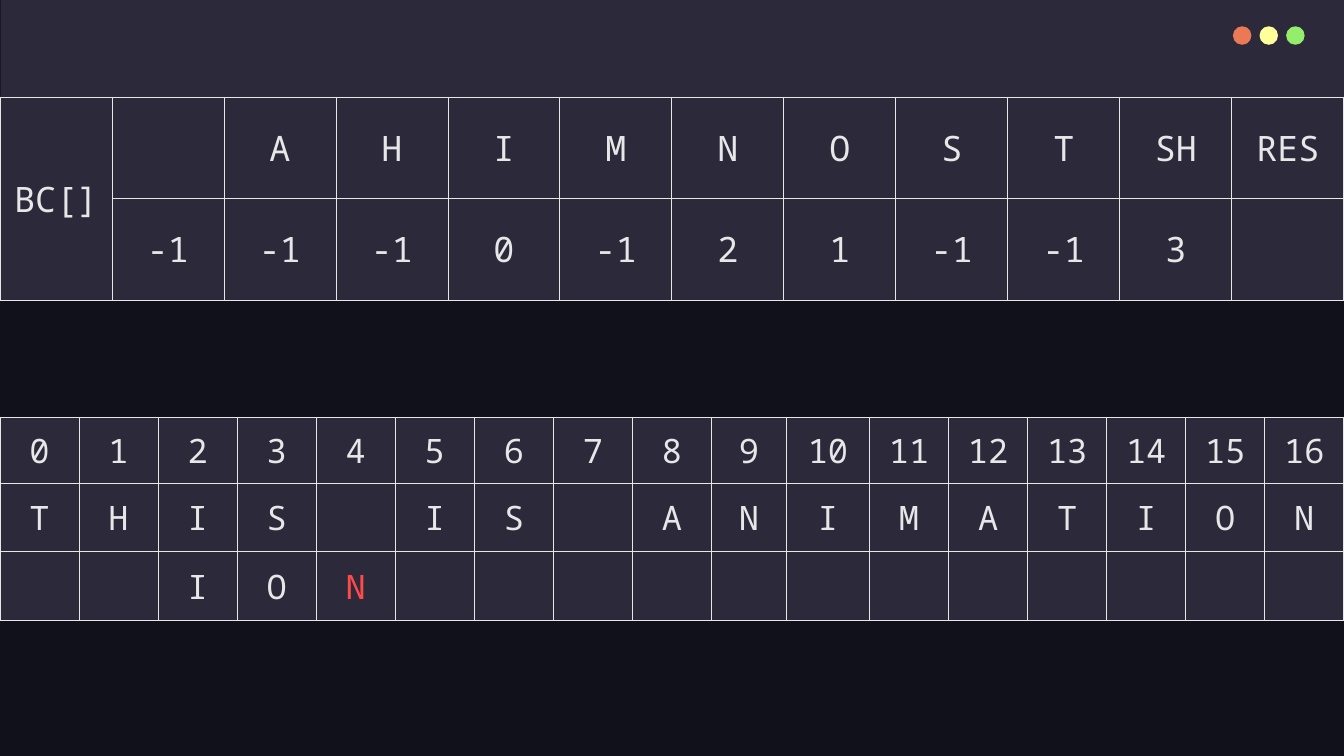
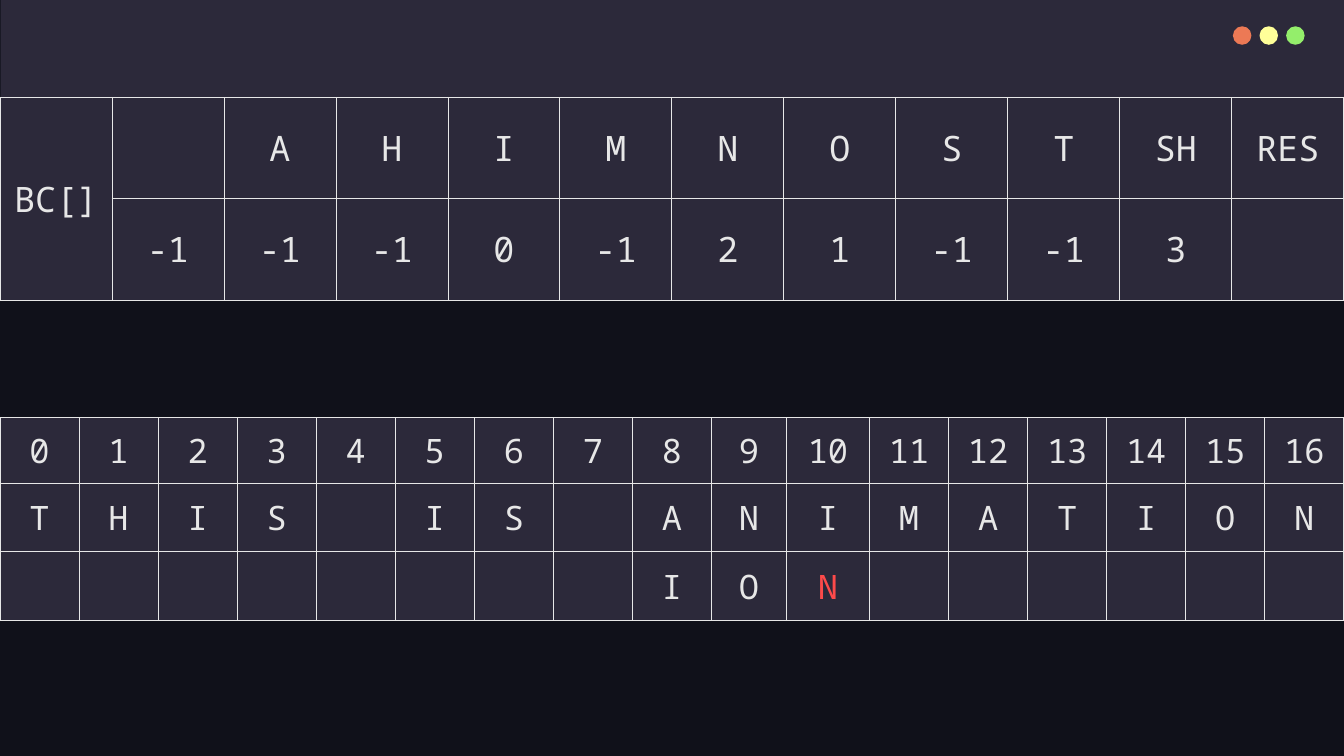
from lxml import etree
from pptx import Presentation
from pptx.dml.color import RGBColor
from pptx.enum.shapes import MSO_SHAPE
from pptx.enum.text import MSO_ANCHOR, PP_ALIGN
from pptx.oxml.ns import qn
from pptx.util import Pt

RECTANGLE = MSO_SHAPE.RECTANGLE
OVAL = MSO_SHAPE.OVAL
CENTER = PP_ALIGN.CENTER
MIDDLE = MSO_ANCHOR.MIDDLE

BACKGROUND = RGBColor(0x10, 0x11, 0x1A)
PANEL = RGBColor(0x2C, 0x29, 0x3A)
LIGHT = RGBColor(0xE7, 0xE7, 0xE7)
MISMATCH = RGBColor(0xFD, 0x4A, 0x4A)
DOT_COLORS = [
    RGBColor(0xEC, 0x79, 0x55),
    RGBColor(0xFF, 0xFF, 0x99),
    RGBColor(0x94, 0xEE, 0x6B),
]
FONT = "Noto Sans Mono"

TEXT = "THIS IS ANIMATION"
PATTERN = "ION"
BAD_CHARACTER_ROWS = [
    ["BC[]", "", "A", "H", "I", "M", "N", "O", "S", "T", "SH", "RES"],
    ["", "-1", "-1", "-1", "0", "-1", "2", "1", "-1", "-1", "3", ""],
]
PATTERN_SHIFTS = [2, 8]

SLIDE_WIDTH, SLIDE_HEIGHT = 960, 540
BAND_LEFT, BAND_HEIGHT = 0.5, 121.5
DOT_LEFT, DOT_TOP, DOT_SIZE, DOT_STEP = 880.7, 18.8, 13.2, 19
BAD_CHARACTER_TOP, BAD_CHARACTER_HEIGHTS = 69.6, [72.4, 72.4]
SEARCH_TOP, SEARCH_HEIGHTS = 298.2, [47, 49, 49]
SEARCH_WIDTH_CHANGES = {9: -3, 10: 3}
BORDER_WIDTH = 0.75
MARGIN_X, MARGIN_Y = 9.4, 7


def add_filled_shape(shapes, kind, left, top, width, height, color):
    shape = shapes.add_shape(kind, Pt(left), Pt(top), Pt(width), Pt(height))
    shape.shadow.inherit = False
    shape.fill.solid()
    shape.fill.fore_color.rgb = color
    shape.line.fill.background()


def add_window_bar(slide):
    add_filled_shape(slide.shapes, RECTANGLE, BAND_LEFT, 0,
                     SLIDE_WIDTH - BAND_LEFT, BAND_HEIGHT, PANEL)
    dots = slide.shapes.add_group_shape()
    for index, color in enumerate(DOT_COLORS):
        add_filled_shape(dots.shapes, OVAL, DOT_LEFT + index * DOT_STEP,
                         DOT_TOP, DOT_SIZE, DOT_SIZE, color)


def set_borders(cell):
    properties = cell._tc.get_or_add_tcPr()
    for side in ("a:lnL", "a:lnR", "a:lnT", "a:lnB"):
        line = etree.SubElement(properties, qn(side), w=str(Pt(BORDER_WIDTH)))
        fill = etree.SubElement(line, qn("a:solidFill"))
        etree.SubElement(fill, qn("a:srgbClr"), val=str(LIGHT))


def format_cell(cell, text, size, color):
    set_borders(cell)
    cell.fill.solid()
    cell.fill.fore_color.rgb = PANEL
    cell.vertical_anchor = MIDDLE
    cell.margin_left = cell.margin_right = Pt(MARGIN_X)
    cell.margin_top = cell.margin_bottom = Pt(MARGIN_Y)
    cell.text = text
    paragraph = cell.text_frame.paragraphs[0]
    paragraph.alignment = CENTER
    font = paragraph.font
    font.name = FONT
    font.size = Pt(size)
    font.color.rgb = color


def add_grid(slide, rows, top, heights, size, width_changes={}, highlight=None):
    column_count = len(rows[0])
    table = slide.shapes.add_table(
        len(rows), column_count, Pt(0), Pt(top), Pt(SLIDE_WIDTH), Pt(sum(heights))
    ).table
    table.first_row = False
    table.horz_banding = False
    for index, column in enumerate(table.columns):
        column.width = Pt(SLIDE_WIDTH / column_count + width_changes.get(index, 0))
    for row, height in zip(table.rows, heights):
        row.height = Pt(height)
    for row_index, row in enumerate(rows):
        for column_index, text in enumerate(row):
            color = MISMATCH if (row_index, column_index) == highlight else LIGHT
            format_cell(table.cell(row_index, column_index), text, size, color)
    return table


def build_slide(presentation, shift):
    slide = presentation.slides.add_slide(presentation.slide_layouts[6])
    add_window_bar(slide)
    search_rows = [
        [str(index) for index in range(len(TEXT))],
        [character.strip() for character in TEXT],
        [""] * shift + list(PATTERN) + [""] * (len(TEXT) - shift - len(PATTERN)),
    ]
    add_grid(slide, search_rows, SEARCH_TOP, SEARCH_HEIGHTS, 24,
             SEARCH_WIDTH_CHANGES, (2, shift + len(PATTERN) - 1))
    table = add_grid(slide, BAD_CHARACTER_ROWS, BAD_CHARACTER_TOP,
                     BAD_CHARACTER_HEIGHTS, 25)
    table.cell(0, 0).merge(table.cell(1, 0))


def main():
    presentation = Presentation()
    presentation.slide_width = Pt(SLIDE_WIDTH)
    presentation.slide_height = Pt(SLIDE_HEIGHT)
    background = presentation.slide_master.background.fill
    background.solid()
    background.fore_color.rgb = BACKGROUND
    for shift in PATTERN_SHIFTS:
        build_slide(presentation, shift)
    presentation.save("out.pptx")


if __name__ == "__main__":
    main()
